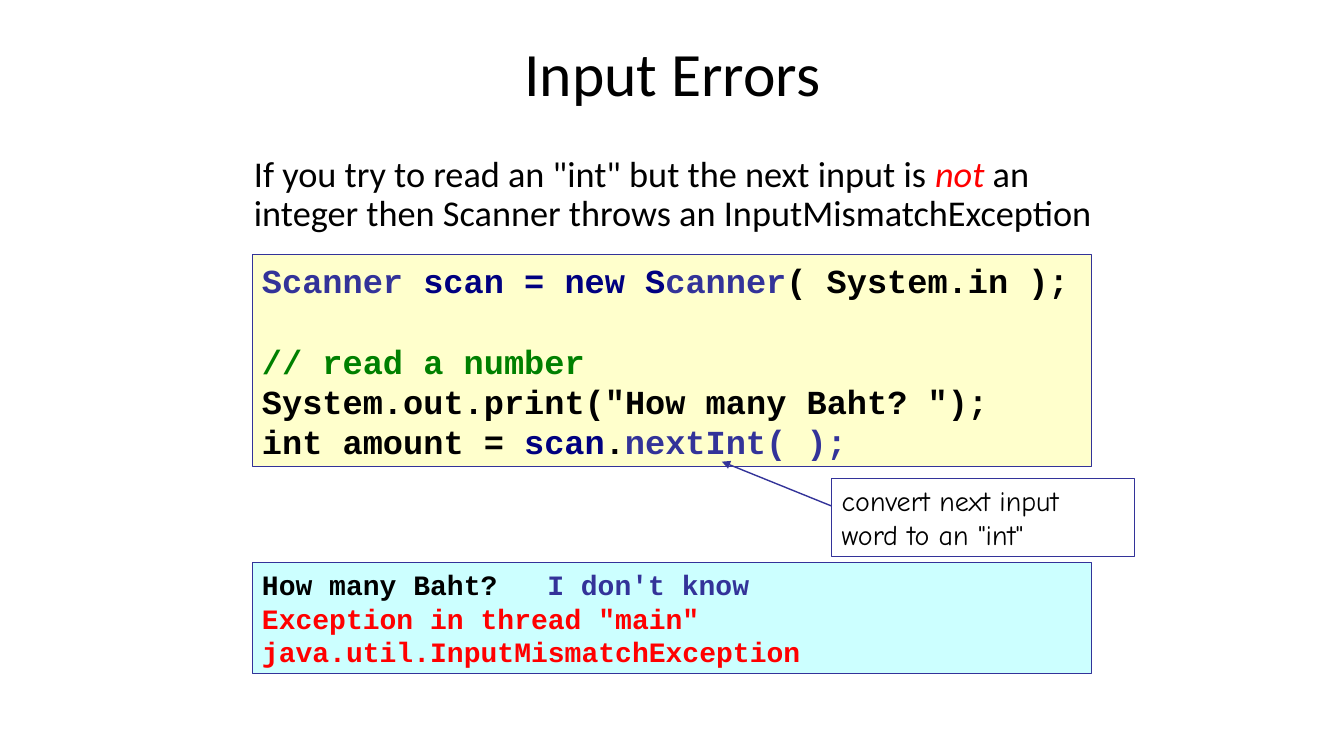
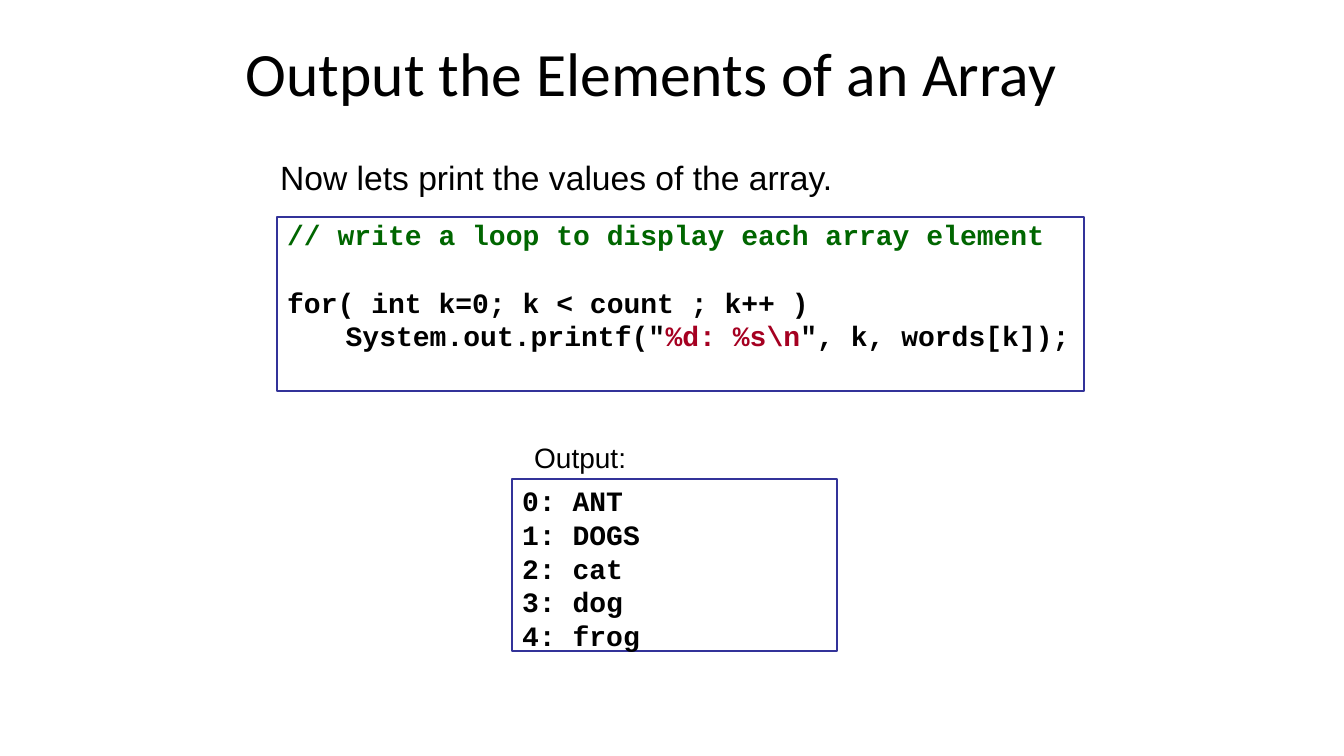
from lxml import etree
from pptx import Presentation
from pptx import util as u
from pptx.dml.color import RGBColor
from pptx.enum import shapes, text
from pptx.oxml.ns import qn

PX = 9144
BLACK = RGBColor(0, 0, 0)
WHITE = RGBColor(255, 255, 255)
RED = RGBColor(255, 0, 0)
INDIGO = RGBColor(0x33, 0x33, 0x99)
NAVY = RGBColor(0, 0, 0x80)
GREEN = RGBColor(0, 0x80, 0)
FOREST = RGBColor(0, 0x66, 0)
WINE = RGBColor(0xA5, 0, 0x21)
CREAM = RGBColor(0xFF, 0xFF, 0xCC)
CYAN = RGBColor(0xCC, 0xFF, 0xFF)
SANS, ARIAL, MONO, COMIC = "Calibri", "Arial", "Courier New", "Comic Neue"


def px(*vals):
    """Turn px lengths into EMU."""
    return [u.Emu(v * PX) for v in vals]


def fill_text(shape, lines, font, size, tight=False, gap=0):
    """Write lines, each a list of (words, colour) runs, into a shape."""
    frame = shape.text_frame
    frame.word_wrap = True
    frame.vertical_anchor = text.MSO_ANCHOR.TOP
    for i, runs in enumerate(lines):
        para = frame.paragraphs[0] if i == 0 else frame.add_paragraph()
        para.alignment = text.PP_ALIGN.LEFT
        if tight:
            para.line_spacing = 0.9
        if i and gap:
            para.space_before = u.Pt(gap)
        for words, color in runs:
            run = para.add_run()
            run.text = words
            run.font.name = font
            run.font.size = u.Pt(size)
            run.font.bold = font == MONO
            run.font.color.rgb = color
    return frame.paragraphs


def add_label(slide, box, lines, font, size, tight=False):
    """Place plain text in a box."""
    return fill_text(slide.shapes.add_textbox(*px(*box)), lines, font, size, tight)


def add_panel(slide, box, lines, fill=None, width=0.75, font=MONO, size=20, **style):
    """Place an outlined rectangle with text."""
    rect = slide.shapes.add_shape(shapes.MSO_SHAPE.RECTANGLE, *px(*box))
    rect.shadow.inherit = False
    if fill is None:
        rect.fill.background()
    else:
        rect.fill.solid()
        rect.fill.fore_color.rgb = fill
    rect.line.color.rgb = INDIGO
    rect.line.width = u.Pt(width)
    return fill_text(rect, lines, font, size, **style)


def add_title(slide, words, align):
    """Place the slide title."""
    box = slide.shapes.add_textbox(*px(234, 28, 866, 95))
    para = fill_text(box, [[(words, BLACK)]], SANS, 44, tight=True)[0]
    para.alignment = align
    box.text_frame.vertical_anchor = text.MSO_ANCHOR.MIDDLE


def add_arrow(slide, start, end):
    """Draw a thin arrow from start to end."""
    line = slide.shapes.add_connector(
        shapes.MSO_CONNECTOR.STRAIGHT, *px(*start, *end))
    line.line.color.rgb = INDIGO
    line.line.width = u.Pt(1)
    stroke = line.line._get_or_add_ln()
    etree.SubElement(stroke, qn("a:tailEnd"), type="triangle")
    etree.SubElement(line._element.spPr, qn("a:effectLst"))


def add_tab(para, pos):
    """Give a paragraph one left tab stop."""
    stops = etree.SubElement(para._p.get_or_add_pPr(), qn("a:tabLst"))
    etree.SubElement(stops, qn("a:tab"), pos=str(pos * PX), algn="l")


def error_slide(slide):
    """Build the slide on input errors."""
    add_title(slide, "Input Errors", text.PP_ALIGN.CENTER)
    intro = add_label(slide, (242, 150, 892, 92), [[
        ('If you try to read an "int" but the next input is ', BLACK),
        ("not ", RED),
        ("an integer then Scanner throws an InputMismatchException", BLACK),
    ]], SANS, 25.9, tight=True)
    intro[0].runs[1].font.italic = True
    code = add_panel(slide, (250, 253, 833, 210), [
        [("Scanner", INDIGO), (" scan = new S", NAVY), ("canner", INDIGO),
         ("( System.in );", BLACK)],
        [("// read a number", GREEN)],
        [('System.out.print("How many Baht? ");', BLACK)],
        [("int amount = ", BLACK), ("scan", NAVY), (".", BLACK),
         ("nextInt( );", INDIGO)],
    ], CREAM, size=24)
    code[1].space_before = u.Pt(28.8)
    shell = add_panel(slide, (250, 558, 833, 110), [
        [("How many Baht?\t", BLACK), ("I don't know", INDIGO)],
        [('Exception in thread "main" java.util.InputMismatchException', RED)],
    ], CYAN)
    add_tab(shell[0], 283)
    add_arrow(slide, (842, 509), (716, 458))
    add_panel(slide, (825, 475, 300, 77),
              [[('convert next input word to an "int"', BLACK)]], WHITE, font=COMIC)


def array_slide(slide):
    """Build the slide on printing an array."""
    add_title(slide, "Output the Elements of an Array", text.PP_ALIGN.LEFT)
    code = add_panel(slide, (275, 215, 800, 173), [
        [("// write a loop to display each array element", FOREST)],
        [("for( int k=0; k < count ; k++ )", BLACK)],
        [('System.out.printf("', BLACK), ("%d: %s\\n", WINE),
         ('", k, words[k]);', BLACK)],
    ], width=1.5, tight=True, gap=2.5)
    code[1].space_before = u.Pt(26.5)
    code[2]._p.get_or_add_pPr().set("marL", str(58 * PX))
    add_label(slide, (268, 151, 798, 50),
              [[("Now lets print the values of the array.", BLACK)]], ARIAL, 24)
    words = ["ANT", "DOGS", "cat", "dog", "frog"]
    add_panel(slide, (508, 475, 322, 171),
              [[(f"{k}: {word}", BLACK)] for k, word in enumerate(words)], width=1.5)
    add_label(slide, (520, 432, 250, 44), [[("Output:", BLACK)]], ARIAL, 20)


def main():
    """Build and save the deck."""
    deck = Presentation()
    deck.slide_width, deck.slide_height = px(1333, 750)
    for build in (error_slide, array_slide):
        build(deck.slides.add_slide(deck.slide_layouts[6]))
    deck.save("out.pptx")


if __name__ == "__main__":
    main()
